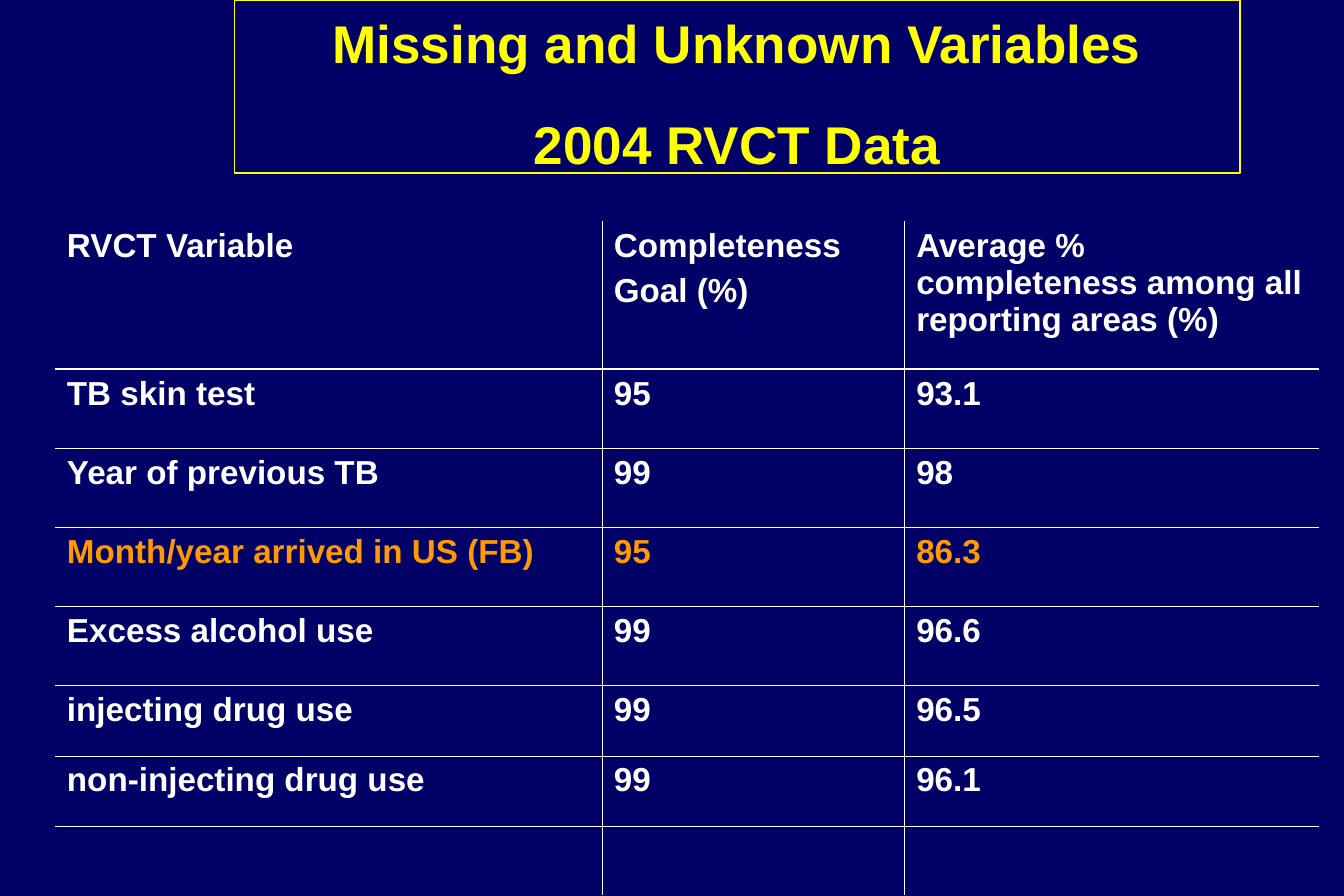
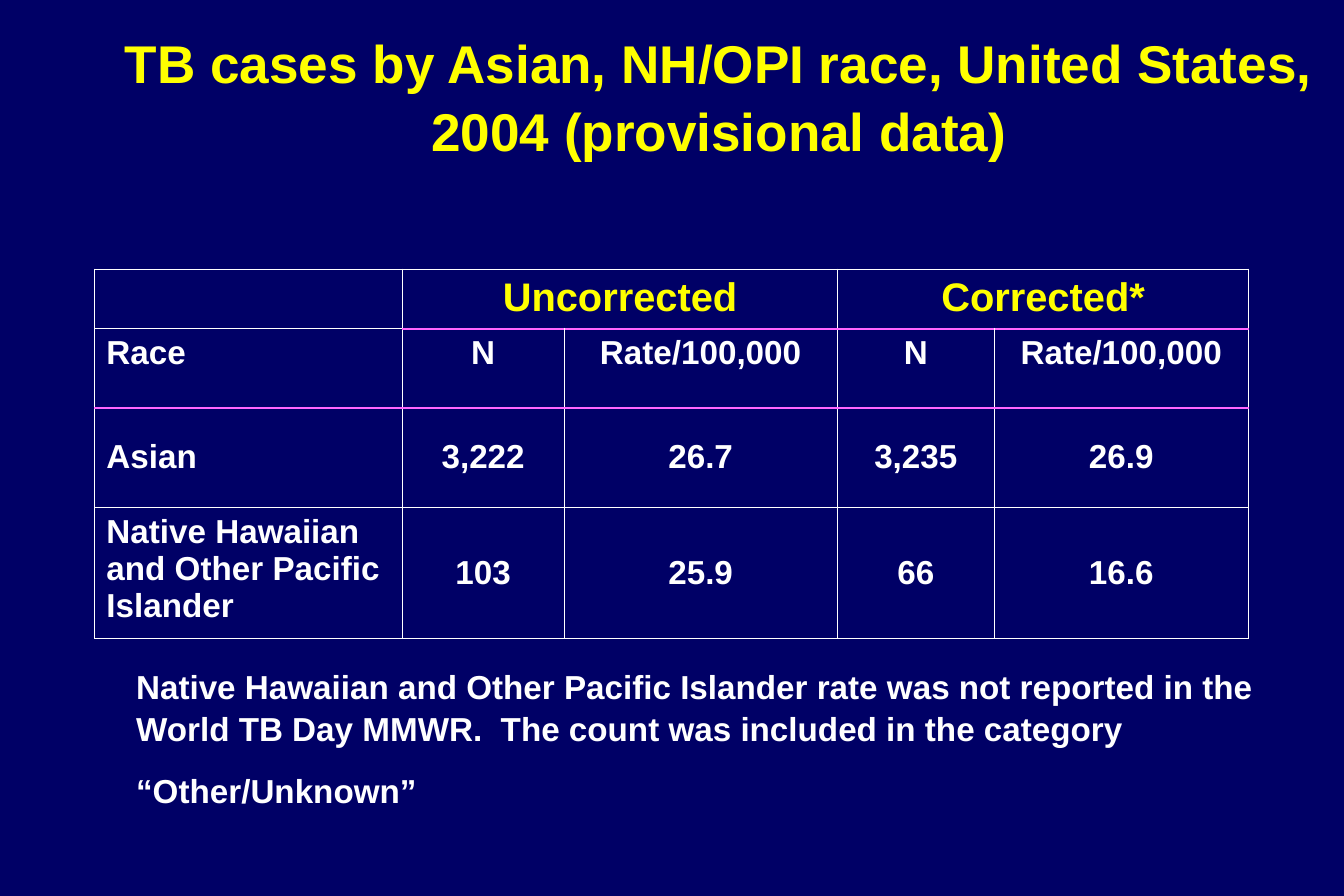
from dataclasses import dataclass

import lxml.etree
import pptx
import pptx.dml.color
import pptx.enum.text
import pptx.oxml.ns
import pptx.presentation
import pptx.shapes.autoshape
import pptx.slide
import pptx.table
import pptx.text.text
import pptx.util

Cm = pptx.util.Cm
Pt = pptx.util.Pt
Align = pptx.enum.text.PP_ALIGN
Anchor = pptx.enum.text.MSO_ANCHOR


@dataclass(frozen=True)
class Theme:
    font: str = "Arial"
    background: str = "000066"
    text: str = "FFFFFF"
    heading: str = "FFFF00"
    highlight: str = "FF9900"
    accent_rule: str = "FF66FF"
    title_size: float = 32
    group_size: float = 24
    text_size: float = 20
    line_spacing: float = 1.07
    thin_rule: float = 0.45
    heavy_rule: float = 1.08


THEME = Theme()


@dataclass(frozen=True)
class Area:
    left: float
    top: float
    width: float
    height: float


@dataclass(frozen=True)
class Style:
    size: float = THEME.text_size
    colour: str = THEME.text
    align: Align = Align.LEFT
    space_before: float = 5
    line_spacing: float | None = None


@dataclass(frozen=True)
class Row:
    height: float
    texts: tuple[str, ...]
    colour: str = THEME.text
    size: float = THEME.text_size
    label_anchor: Anchor = Anchor.TOP
    figure_anchor: Anchor = Anchor.TOP
    merges: tuple[tuple[int, int], ...] = ()


@dataclass(frozen=True)
class HeavyRule:
    boundary: int
    first_column: int
    colour: str


@dataclass(frozen=True)
class Grid:
    left: float
    top: float
    columns: tuple[float, ...]
    rows: tuple[Row, ...]
    figure_align: Align
    framed: bool
    heavy_rules: tuple[HeavyRule, ...]


TITLE_STYLE = Style(THEME.title_size, THEME.heading, Align.CENTER, 20, THEME.line_spacing)
NOTE_STYLE = Style(space_before=11.5, line_spacing=THEME.line_spacing)

COMPLETENESS = Grid(
    left=1.17,
    top=4.7,
    columns=(11.63, 6.43, 8.81),
    rows=(
        Row(3.15, (
            "RVCT Variable",
            "Completeness\nGoal (%)",
            "Average % completeness among all reporting areas (%)",
        )),
        Row(1.68, ("TB skin test", "95", "93.1")),
        Row(1.68, ("Year of previous TB", "99", "98")),
        Row(1.68, ("Month/year arrived in US (FB)", "95", "86.3"), THEME.highlight),
        Row(1.68, ("Excess alcohol use", "99", "96.6")),
        Row(1.5, ("injecting drug use", "99", "96.5")),
        Row(1.5, ("non-injecting drug use", "99", "96.1")),
        Row(1.45, ("", "", "")),
    ),
    figure_align=Align.LEFT,
    framed=False,
    heavy_rules=(HeavyRule(1, 0, THEME.text),),
)

CASES = Grid(
    left=2.01,
    top=5.72,
    columns=(6.55, 3.43, 5.82, 3.33, 5.41),
    rows=(
        Row(
            1.27,
            ("", "Uncorrected", "", "Corrected*", ""),
            THEME.heading,
            THEME.group_size,
            merges=((1, 2), (3, 4)),
        ),
        Row(1.68, ("Race", "N", "Rate/100,000", "N", "Rate/100,000")),
        Row(
            2.11,
            ("Asian", "3,222", "26.7", "3,235", "26.9"),
            label_anchor=Anchor.MIDDLE,
            figure_anchor=Anchor.MIDDLE,
        ),
        Row(
            2.79,
            ("Native Hawaiian and Other Pacific Islander", "103", "25.9", "66", "16.6"),
            figure_anchor=Anchor.MIDDLE,
        ),
    ),
    figure_align=Align.CENTER,
    framed=True,
    heavy_rules=(
        HeavyRule(1, 1, THEME.accent_rule),
        HeavyRule(2, 0, THEME.accent_rule),
    ),
)


def rgb(colour: str) -> pptx.dml.color.RGBColor:
    return pptx.dml.color.RGBColor.from_string(colour)


def write(frame: pptx.text.text.TextFrame, text: str, style: Style) -> None:
    frame.text = text
    for index, para in enumerate(frame.paragraphs):
        para.alignment = style.align
        para.space_before = Pt(style.space_before if index else 0)
        if style.line_spacing:
            para.line_spacing = style.line_spacing
        for span in para.runs:
            span.font.name = THEME.font
            span.font.size = Pt(style.size)
            span.font.bold = True
            span.font.color.rgb = rgb(style.colour)


def fill_placeholder(
    box: pptx.shapes.autoshape.Shape, area: Area, text: str, style: Style
) -> None:
    box.left, box.top = Cm(area.left), Cm(area.top)
    box.width, box.height = Cm(area.width), Cm(area.height)
    frame = box.text_frame
    frame.word_wrap = True
    frame.auto_size = pptx.enum.text.MSO_AUTO_SIZE.NONE
    frame.vertical_anchor = Anchor.TOP
    write(frame, text, style)


def remove_bullets(frame: pptx.text.text.TextFrame) -> None:
    for para in frame.paragraphs:
        properties = para._p.get_or_add_pPr()
        properties.set("marL", "0")
        properties.set("indent", "0")
        lxml.etree.SubElement(properties, pptx.oxml.ns.qn("a:buNone"))


def draw_edge(
    cell: pptx.table._Cell, edge: str, rule: tuple[str, float] | None
) -> None:
    qn = pptx.oxml.ns.qn
    line = lxml.etree.SubElement(cell._tc.get_or_add_tcPr(), qn(f"a:{edge}"))
    if rule is None:
        lxml.etree.SubElement(line, qn("a:noFill"))
        return
    colour, width = rule
    line.set("w", str(int(Pt(width))))
    fill = lxml.etree.SubElement(line, qn("a:solidFill"))
    lxml.etree.SubElement(fill, qn("a:srgbClr")).set("val", colour)


def vertical_rule(grid: Grid, boundary: int) -> tuple[str, float] | None:
    inner = 0 < boundary < len(grid.columns)
    return (THEME.text, THEME.thin_rule) if inner or grid.framed else None


def horizontal_rule(grid: Grid, boundary: int, column: int) -> tuple[str, float] | None:
    for heavy in grid.heavy_rules:
        if heavy.boundary == boundary and column >= heavy.first_column:
            return heavy.colour, THEME.heavy_rule
    inner = 0 < boundary < len(grid.rows)
    return (THEME.text, THEME.thin_rule) if inner or grid.framed else None


def draw_grid(page: pptx.slide.Slide, grid: Grid) -> None:
    table = page.shapes.add_table(
        len(grid.rows),
        len(grid.columns),
        Cm(grid.left),
        Cm(grid.top),
        Cm(sum(grid.columns)),
        Cm(sum(row.height for row in grid.rows)),
    ).table
    table.first_row = False
    table.horz_banding = False
    for column, width in enumerate(grid.columns):
        table.columns[column].width = Cm(width)
    for index, row in enumerate(grid.rows):
        table.rows[index].height = Cm(row.height)
        for column, text in enumerate(row.texts):
            cell = table.cell(index, column)
            draw_edge(cell, "lnL", vertical_rule(grid, column))
            draw_edge(cell, "lnR", vertical_rule(grid, column + 1))
            draw_edge(cell, "lnT", horizontal_rule(grid, index, column))
            draw_edge(cell, "lnB", horizontal_rule(grid, index + 1, column))
            cell.fill.background()
            cell.vertical_anchor = row.figure_anchor if column else row.label_anchor
            if text:
                align = grid.figure_align if column else Align.LEFT
                write(cell.text_frame, text, Style(row.size, row.colour, align))
        for first, last in row.merges:
            table.cell(index, first).merge(table.cell(index, last))


def add_page(
    deck: pptx.presentation.Presentation, layout: str, title: str, area: Area
) -> pptx.slide.Slide:
    page = deck.slides.add_slide(deck.slide_layouts.get_by_name(layout))
    fill_placeholder(page.shapes.title, area, title, TITLE_STYLE)
    return page


def add_completeness_page(deck: pptx.presentation.Presentation) -> None:
    page = add_page(
        deck,
        "Title Only",
        "Missing and Unknown Variables\n2004 RVCT Data",
        Area(4.98, 0, 21.39, 3.68),
    )
    outline = page.shapes.title.line
    outline.color.rgb = rgb(THEME.heading)
    outline.width = Pt(0.75)
    draw_grid(page, COMPLETENESS)


def add_cases_page(deck: pptx.presentation.Presentation) -> None:
    page = add_page(
        deck,
        "Title and Content",
        "TB cases by Asian, NH/OPI race, United States, 2004 (provisional data)",
        Area(2.01, 0.43, 26.57, 2.97),
    )
    draw_grid(page, CASES)
    note = page.placeholders[1]
    fill_placeholder(
        note,
        Area(2.64, 13.97, 24.77, 5),
        "Native Hawaiian and Other Pacific Islander rate was not reported in the "
        "World TB Day MMWR.  The count was included in the category\n“Other/Unknown”",
        NOTE_STYLE,
    )
    remove_bullets(note.text_frame)


def main() -> None:
    deck = pptx.Presentation()
    deck.slide_width, deck.slide_height = Cm(28.58), Cm(19.05)
    backdrop = deck.slide_master.background.fill
    backdrop.solid()
    backdrop.fore_color.rgb = rgb(THEME.background)
    add_completeness_page(deck)
    add_cases_page(deck)
    deck.save("out.pptx")


if __name__ == "__main__":
    main()
